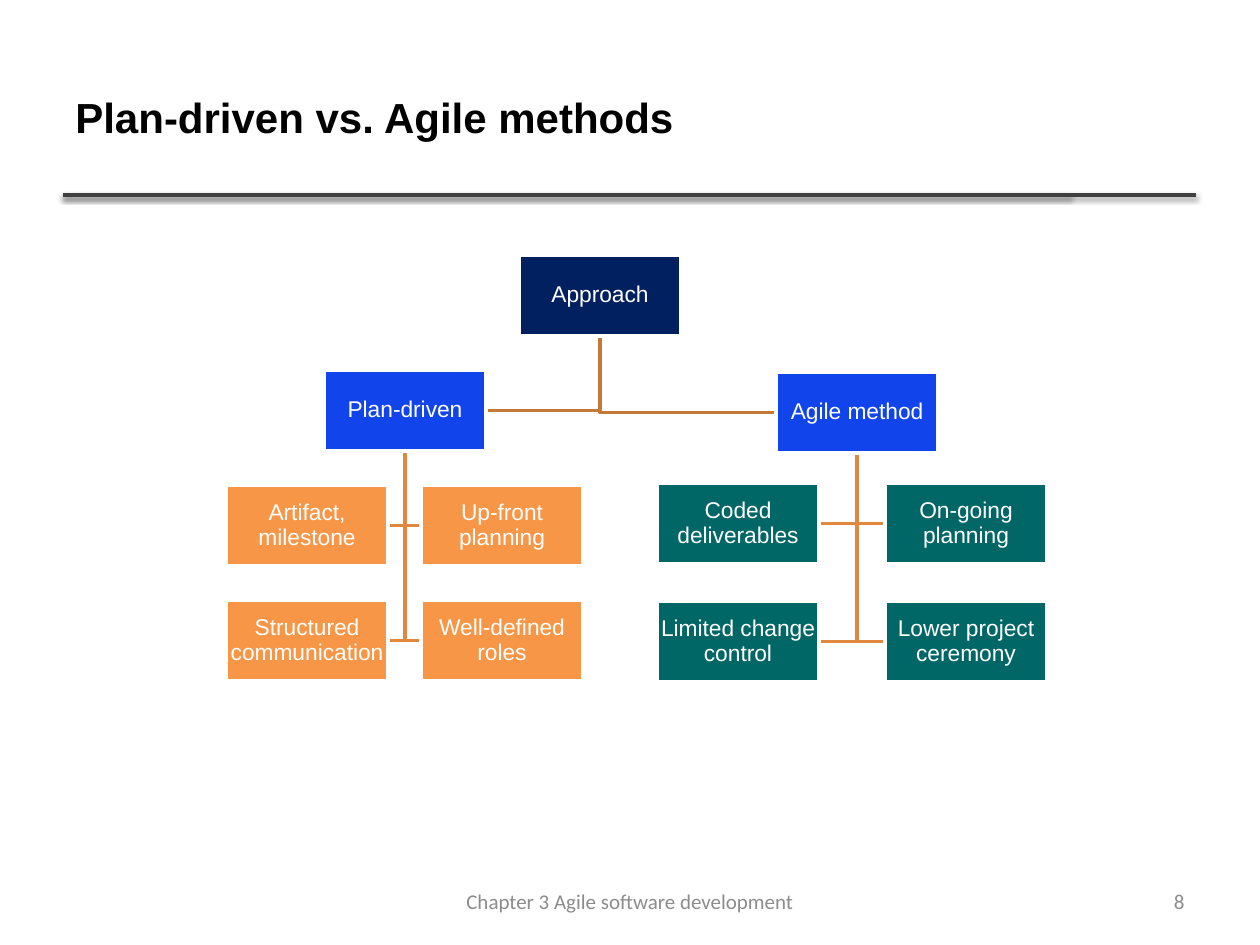
import pptx
import pptx.util
import pptx.dml.color
import pptx.enum.shapes
import pptx.enum.text
import pptx.oxml
import pptx.oxml.ns

THEME = {
    "root": "002060", "branch": "1145EB", "plan": "F79646", "agile": "006666",
    "trunk": "C67838", "twig": "E08840", "rule": "404040",
    "white": "FFFFFF", "black": "000000", "grey": "8C8C8C",
    "head": 24, "node": 13, "foot": 12, "line": 2,
    "sans": "Arial", "small": "Calibri",
}
TITLE = "Plan-driven vs. Agile methods"
FOOT = "Chapter 3 Agile software development"
PAGE = "8"
ROOT = ("Approach", 519, 255)
BRANCHES = [
    {"name": "Plan-driven", "at": (324, 370), "fill": "plan",
     "cols": (226, 421), "rows": (485, 600),
     "leaves": ["Artifact, milestone", "Up-front planning",
                "Structured communication", "Well-defined roles"]},
    {"name": "Agile method", "at": (776, 372), "fill": "agile",
     "cols": (657, 885), "rows": (483, 601),
     "leaves": ["Coded deliverables", "On-going planning",
                "Limited change control", "Lower project ceremony"]},
]
RULES = [1070, 1196]
LEFT, RULE_Y = 63, 195
BOX_W, BOX_H = 162, 81

ALIGN = pptx.enum.text.PP_ALIGN
SHADOW = (
    '<a:effectLst %s><a:outerShdw blurRad="40000" dist="20000" dir="5400000" '
    'rotWithShape="0"><a:srgbClr val="000000"><a:alpha val="38000"/>'
    '</a:srgbClr></a:outerShdw></a:effectLst>' % pptx.oxml.ns.nsdecls("a"))


def px(n):
    return pptx.util.Emu(round(n * 914400 / 126))


def rgb(key):
    return pptx.dml.color.RGBColor.from_string(THEME[key])


def stroke(line, key):
    line.color.rgb = rgb(key)
    line.width = pptx.util.Pt(THEME["line"])


def write(shape, text, size, face, tint, align):
    frame = shape.text_frame
    frame.word_wrap = True
    frame.vertical_anchor = pptx.enum.text.MSO_ANCHOR.MIDDLE
    para = frame.paragraphs[0]
    para.text = text
    para.alignment = align
    font = para.font
    font.size = pptx.util.Pt(THEME[size])
    font.name = THEME[face]
    font.color.rgb = rgb(tint)
    return para


def label(shapes, area, *style):
    return write(shapes.add_textbox(*map(px, area)), *style)


def rule(shapes, end):
    line = shapes.add_connector(pptx.enum.shapes.MSO_CONNECTOR.STRAIGHT,
                                px(LEFT), px(RULE_Y), px(end), px(RULE_Y))
    stroke(line.line, "rule")
    line._element.spPr.append(pptx.oxml.parse_xml(SHADOW))


def node(shapes, text, x, y, fill):
    box = shapes.add_shape(pptx.enum.shapes.MSO_SHAPE.RECTANGLE,
                           *map(px, (x, y, BOX_W, BOX_H)))
    box.shadow.inherit = False
    box.fill.solid()
    box.fill.fore_color.rgb = rgb(fill)
    stroke(box.line, "white")
    frame = box.text_frame
    frame.margin_left = frame.margin_right = px(1)
    frame.margin_top = frame.margin_bottom = px(1)
    para = write(box, text, "node", "sans", "white", ALIGN.CENTER)
    para.line_spacing = 0.9


def elbow(shapes, top, kid, tint):
    x, y = top[0] + BOX_W / 2, top[1] + BOX_H
    end = kid[0] if kid[0] > x else kid[0] + BOX_W
    mid = kid[1] + BOX_H / 2
    pen = shapes.build_freeform(px(x), px(y))
    pen.add_line_segments([(px(x), px(mid)), (px(end), px(mid))], close=False)
    link = pen.convert_to_shape()
    link.shadow.inherit = False
    link.fill.background()
    stroke(link.line, tint)


def main():
    deck = pptx.Presentation()
    deck.slide_width, deck.slide_height = px(1260), px(945)
    shapes = deck.slides.add_slide(deck.slide_layouts[6]).shapes

    for end in RULES:
        rule(shapes, end)
    title = label(shapes, (LEFT, 38, 1006, 157), TITLE,
                  "head", "sans", "black", ALIGN.LEFT)
    title.font.bold = True

    nodes = [(*ROOT, "root")]
    for part in BRANCHES:
        nodes.append((part["name"], *part["at"], "branch"))
        elbow(shapes, ROOT[1:], part["at"], "trunk")
        spots = [(x, y) for y in part["rows"] for x in part["cols"]]
        for text, spot in zip(part["leaves"], spots):
            nodes.append((text, *spot, part["fill"]))
            elbow(shapes, part["at"], spot, "twig")
    for item in nodes:
        node(shapes, *item)

    label(shapes, (903, 876, 294, 50), PAGE,
          "foot", "small", "grey", ALIGN.RIGHT)
    label(shapes, (430, 876, 400, 50), FOOT,
          "foot", "small", "grey", ALIGN.CENTER)
    deck.save("out.pptx")


if __name__ == "__main__":
    main()
